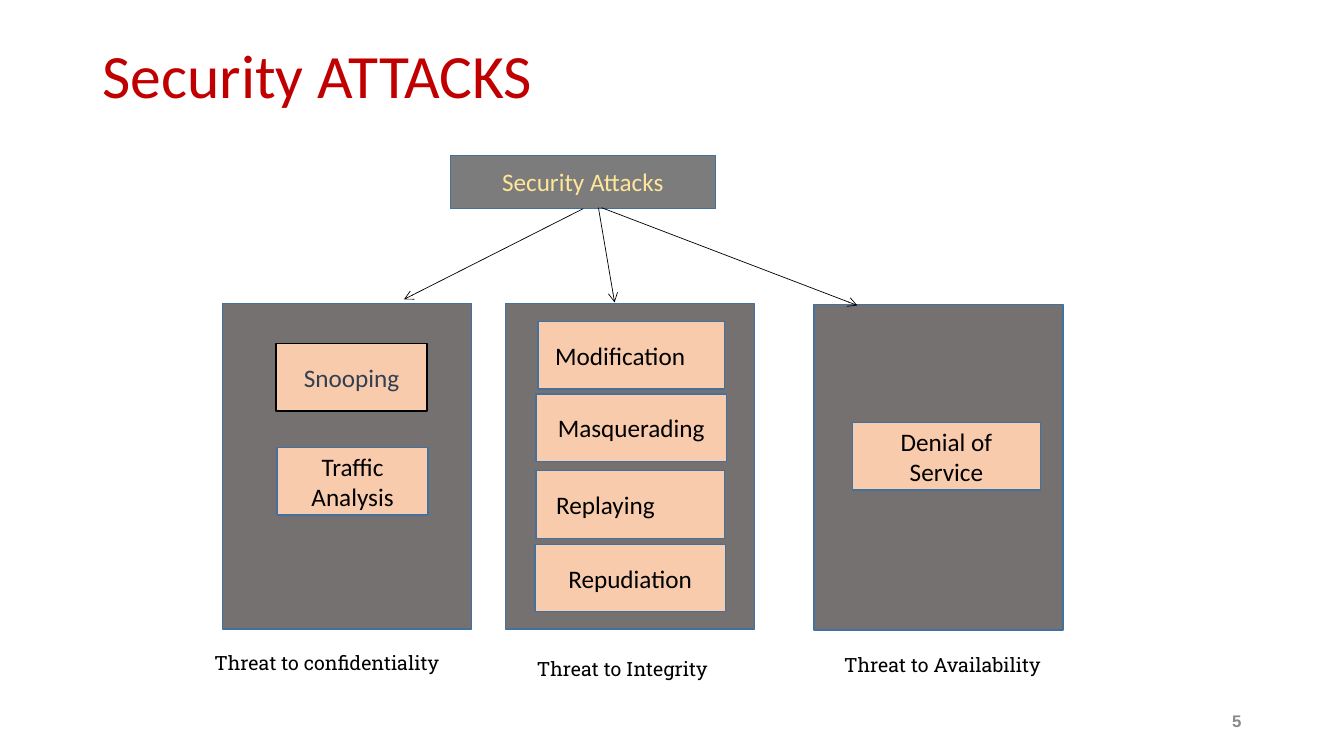
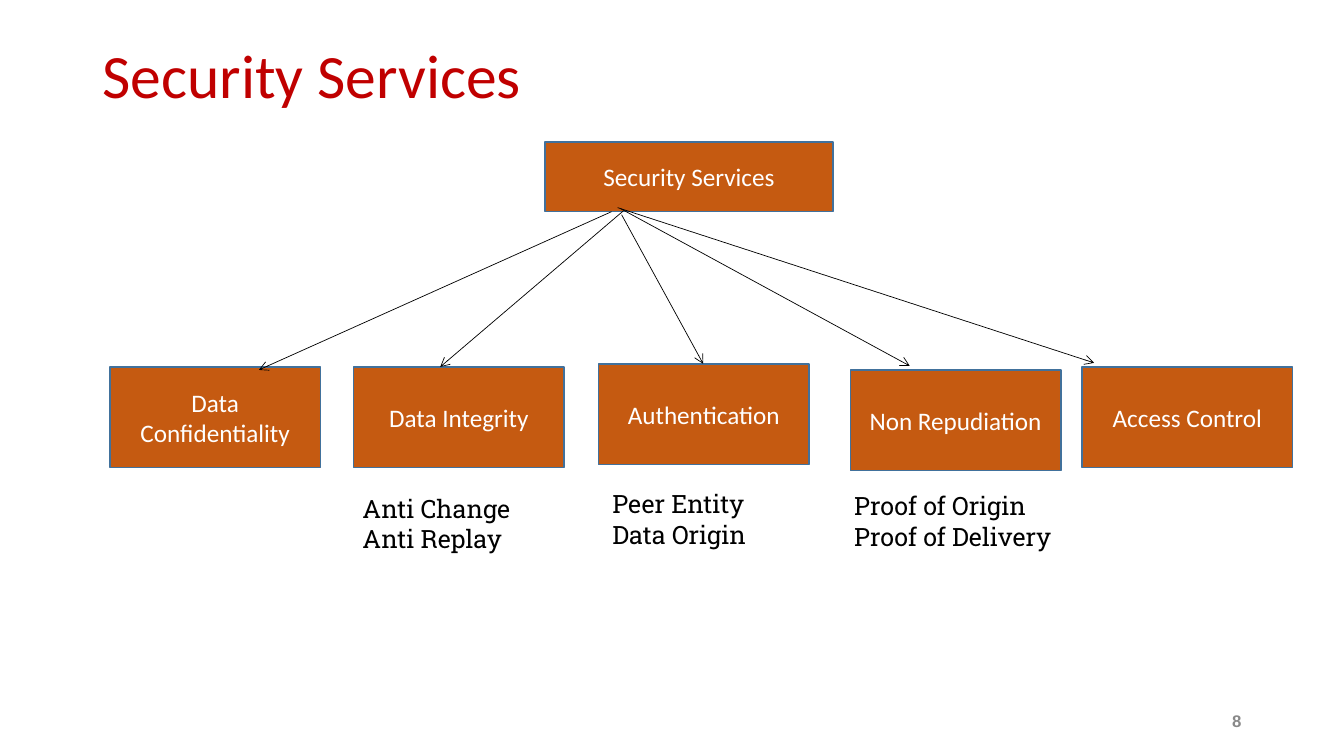
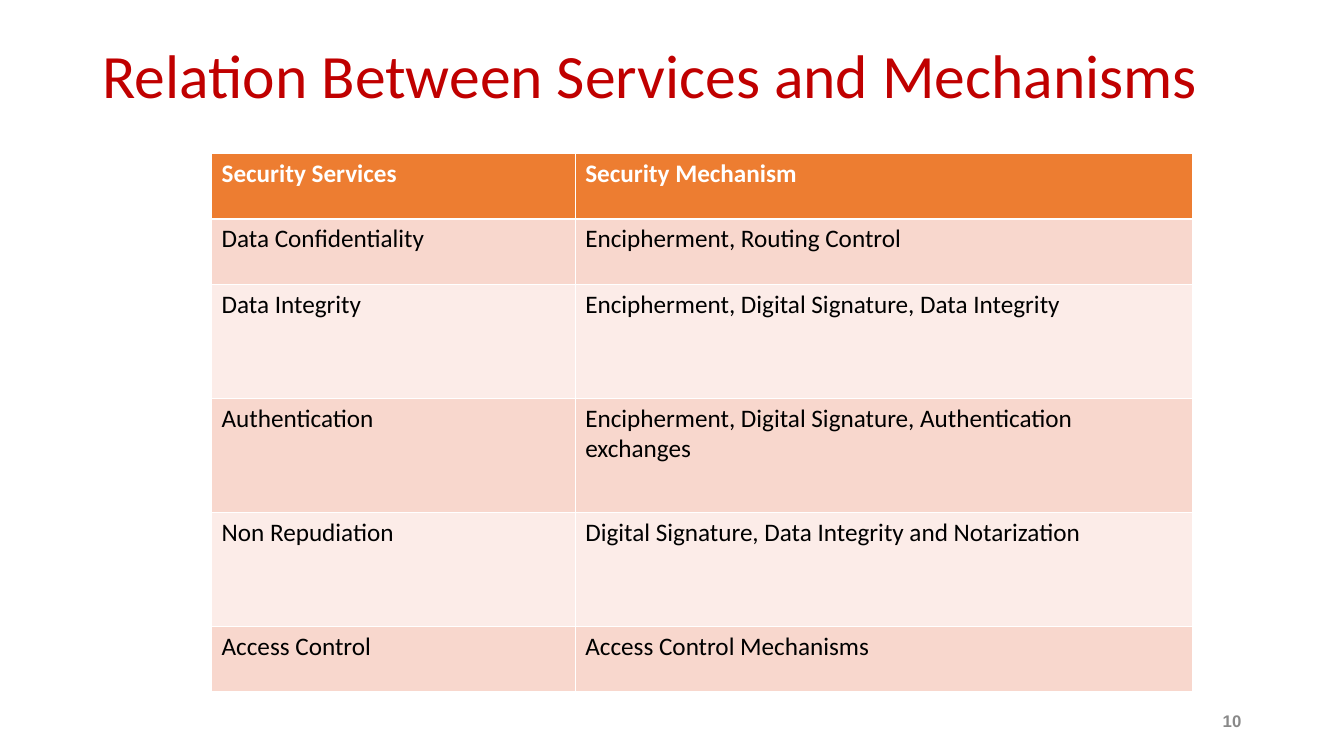
import lxml.etree
import pptx
import pptx.dml.color
import pptx.enum.shapes
import pptx.enum.text
import pptx.oxml.ns
import pptx.util

PX = pptx.util.Inches(1) // 100
RGBColor = pptx.dml.color.RGBColor
ALIGN = pptx.enum.text.PP_ALIGN
ANCHOR = pptx.enum.text.MSO_ANCHOR
qn = pptx.oxml.ns.qn

WHITE = RGBColor(0xFF, 0xFF, 0xFF)
BLACK = RGBColor(0x00, 0x00, 0x00)
RED = RGBColor(0xC0, 0x00, 0x00)
NUMBER_GRAY = RGBColor(0x89, 0x89, 0x89)
ROOT_GRAY = RGBColor(0x7C, 0x7C, 0x7C)
PANEL_GRAY = RGBColor(0x76, 0x71, 0x71)
CREAM = RGBColor(0xFF, 0xE6, 0x99)
PEACH = RGBColor(0xF8, 0xCB, 0xAD)
SLATE = RGBColor(0x33, 0x3F, 0x50)
RUST = RGBColor(0xC5, 0x5A, 0x11)
OUTLINE = RGBColor(0x41, 0x71, 0x9C)
HEADER_ORANGE = RGBColor(0xED, 0x7D, 0x31)
BANDS = [RGBColor(0xFC, 0xEC, 0xE8), RGBColor(0xF8, 0xD7, 0xCD)]

TITLE = {"name": "Calibri", "size": pptx.util.Pt(44), "bold": False}
BODY = {"name": "Calibri", "size": pptx.util.Pt(18), "bold": False}
HEADER = {**BODY, "bold": True}
NOTE = {**BODY, "name": "Roboto Slab"}
CAPTION = {**NOTE, "size": pptx.util.Pt(14)}
NUMBER = {"name": "Arial", "size": pptx.util.Pt(12), "bold": True}


def write(frame, text, font, color, align=ALIGN.LEFT, spacing=1.0):
    frame.word_wrap = True
    frame.text = text
    for para in frame.paragraphs:
        para.alignment = align
        para.line_spacing = spacing
        for span in para.runs:
            span.font.color.rgb = color
            for key, value in font.items():
                setattr(span.font, key, value)


def add_box(page, place, fill, outline=OUTLINE):
    box = page.shapes.add_shape(
        pptx.enum.shapes.MSO_SHAPE.RECTANGLE, *(PX * length for length in place))
    box.shadow.inherit = False
    box.fill.solid()
    box.fill.fore_color.rgb = fill
    box.line.color.rgb = outline
    box.line.width = pptx.util.Pt(1)
    box.text_frame.vertical_anchor = ANCHOR.MIDDLE
    return box


deck = pptx.Presentation()
deck.slide_width = PX * 1334
deck.slide_height = PX * 750

pages = []
for title, number in [
    ("Security ATTACKS", "5"),
    ("Security Services", "8"),
    ("Relation Between Services and Mechanisms", "10"),
]:
    page = deck.slides.add_slide(deck.slide_layouts[6])
    for text, place, font, color, align, spacing in [
        (title, (92, 40, 1150, 75), TITLE, RED, ALIGN.LEFT, 0.9),
        (number, (1165, 695, 77, 40), NUMBER, NUMBER_GRAY, ALIGN.RIGHT, 1.0),
    ]:
        box = page.shapes.add_textbox(*(PX * length for length in place))
        box.text_frame.vertical_anchor = ANCHOR.MIDDLE
        write(box.text_frame, text, font, color, align, spacing)
    pages.append(page)
attacks, services, relation = pages

for left, top in [(221, 301), (502, 301), (808, 302)]:
    add_box(attacks, (left, top, 247, 323), PANEL_GRAY)

for text, place, fill, outline, color in [
    ("Security Attacks", (447, 154, 263, 53), ROOT_GRAY, OUTLINE, CREAM),
    ("Snooping", (274, 341, 150, 67), PEACH, BLACK, SLATE),
    ("Traffic Analysis", (275, 444, 150, 67), PEACH, OUTLINE, BLACK),
    ("Masquerading", (532, 391, 189, 67), PEACH, OUTLINE, BLACK),
    ("Repudiation", (531, 540, 189, 67), PEACH, OUTLINE, BLACK),
    ("Denial of Service", (846, 419, 187, 67), PEACH, OUTLINE, BLACK),
]:
    box = add_box(attacks, place, fill, outline)
    write(box.text_frame, text, BODY, color, ALIGN.CENTER)

for text, place, inset in [
    ("Modification", (534, 319, 185, 67), 17),
    ("Replaying", (532, 467, 187, 67), 20),
]:
    box = add_box(attacks, place, PEACH)
    box.text_frame.margin_left = PX * inset
    write(box.text_frame, text, BODY, BLACK)

for text, place in [
    ("Security Services", (541, 141, 286, 69)),
    ("Data Confidentiality", (109, 364, 209, 100)),
    ("Data Integrity", (351, 364, 209, 100)),
    ("Authentication", (594, 361, 209, 100)),
    ("Non Repudiation", (844, 367, 209, 100)),
    ("Access Control", (1074, 364, 209, 100)),
]:
    box = add_box(services, place, RUST)
    write(box.text_frame, text, BODY, WHITE, ALIGN.CENTER)

for page, ends in [
    (attacks, (579, 207, 401, 297)),
    (attacks, (594, 206, 610, 300)),
    (attacks, (597, 206, 851, 303)),
    (services, (607, 210, 257, 367)),
    (services, (619, 209, 437, 364)),
    (services, (617, 213, 698, 361)),
    (services, (616, 207, 903, 363)),
    (services, (613, 206, 1086, 360)),
]:
    arrow = page.shapes.add_connector(
        pptx.enum.shapes.MSO_CONNECTOR.STRAIGHT, *(PX * length for length in ends))
    arrow.line.color.rgb = BLACK
    arrow.line.width = pptx.util.Pt(0.5)
    properties = arrow._element.spPr
    lxml.etree.SubElement(properties.find(qn("a:ln")), qn("a:tailEnd"), type="arrow")
    lxml.etree.SubElement(properties, qn("a:effectLst"))

for page, text, place, font in [
    (attacks, "Threat to confidentiality", (203, 641, 257, 34), CAPTION),
    (attacks, "Threat to Integrity", (523, 647, 232, 34), CAPTION),
    (attacks, "Threat to Availability", (828, 643, 257, 34), CAPTION),
    (services, "Anti Change\nAnti Replay", (350, 484, 203, 70), NOTE),
    (services, "Peer Entity\nData Origin", (598, 480, 203, 70), NOTE),
    (services, "Proof of Origin\nProof of Delivery", (838, 482, 228, 70), NOTE),
]:
    box = page.shapes.add_textbox(*(PX * length for length in place))
    write(box.text_frame, text, font, BLACK)

rows = [
    (65, "Security Services", "Security Mechanism"),
    (65, "Data Confidentiality", "Encipherment, Routing Control"),
    (113, "Data Integrity", "Encipherment, Digital Signature, Data Integrity"),
    (113, "Authentication", "Encipherment, Digital Signature, Authentication exchanges"),
    (113, "Non Repudiation", "Digital Signature, Data Integrity and Notarization"),
    (65, "Access Control", "Access Control Mechanisms"),
]
widths = [361, 612]
table = relation.shapes.add_table(
    len(rows), len(widths), PX * 210, PX * 152,
    PX * sum(widths), PX * sum(row[0] for row in rows)).table
for column, width in zip(table.columns, widths):
    column.width = PX * width

for row_index, (height, *texts) in enumerate(rows):
    table.rows[row_index].height = PX * height
    header = row_index == 0
    for column_index, text in enumerate(texts):
        cell = table.cell(row_index, column_index)
        write(cell.text_frame, text, HEADER if header else BODY, WHITE if header else BLACK)
        properties = cell._tc.get_or_add_tcPr()
        for side in ["L", "R", "T", "B"]:
            thick = (row_index, side) in [(0, "B"), (1, "T")]
            width = pptx.util.Pt(1.47 if thick else 0.45)
            border = lxml.etree.SubElement(properties, qn("a:ln" + side), w=str(width))
            paint = lxml.etree.SubElement(border, qn("a:solidFill"))
            lxml.etree.SubElement(paint, qn("a:srgbClr"), val=str(WHITE))
        cell.fill.solid()
        cell.fill.fore_color.rgb = HEADER_ORANGE if header else BANDS[row_index % 2]

deck.save("out.pptx")
